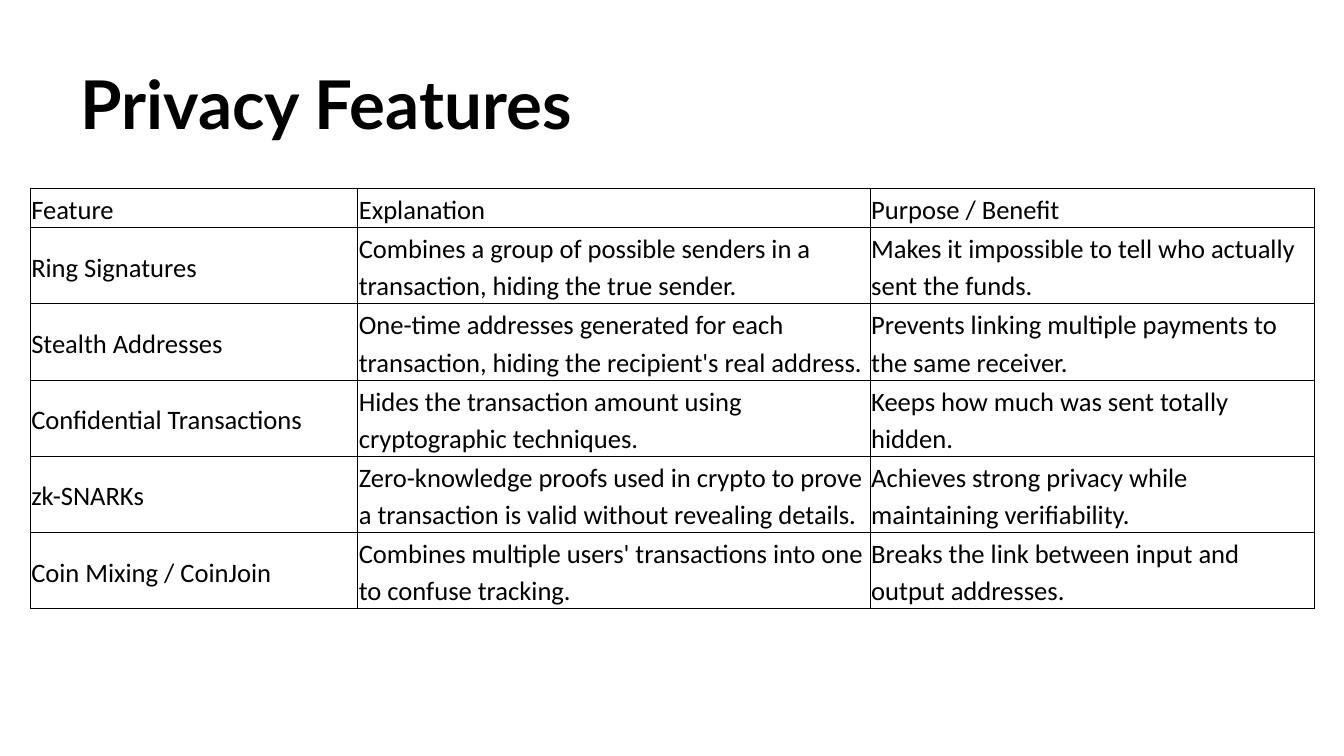
from pptx import Presentation
from pptx import util as u
from pptx.dml import color
from pptx.enum import text
from pptx.oxml import ns
from lxml import etree

Pt = u.Pt
INK = {"text": "000000", "line": "000000"}
WIDTHS = [234, 366, 317]
HEAD, ROW = 26, 52
ROWS = [
    ("Feature", "Explanation", "Purpose / Benefit"),
    ("Ring Signatures",
     "Combines a group of possible senders in a transaction, hiding the true sender.",
     "Makes it impossible to tell who actually sent the funds."),
    ("Stealth Addresses",
     "One-time addresses generated for each transaction, hiding the recipient's real address.",
     "Prevents linking multiple payments to the same receiver."),
    ("Confidential Transactions",
     "Hides the transaction amount using cryptographic techniques.",
     "Keeps how much was sent totally hidden."),
    ("zk-SNARKs",
     "Zero-knowledge proofs used in crypto to prove a transaction is valid without revealing details.",
     "Achieves strong privacy while maintaining verifiability."),
    ("Coin Mixing / CoinJoin",
     "Combines multiple users' transactions into one to confuse tracking.",
     "Breaks the link between input and output addresses."),
]


def style(para, face, size, bold=False):
    para.alignment = text.PP_ALIGN.LEFT
    for run in para.runs:
        run.font.name = face
        run.font.size = Pt(size)
        run.font.bold = bold
        run.font.color.rgb = color.RGBColor.from_string(INK["text"])


def inset(box, gap):
    box.margin_left = box.margin_right = Pt(gap)
    box.margin_top = box.margin_bottom = Pt(gap)


def border(cell):
    props = cell._tc.get_or_add_tcPr()
    for side in ("a:lnL", "a:lnR", "a:lnT", "a:lnB"):
        line = etree.SubElement(props, ns.qn(side), w=str(Pt(0.75)))
        fill = etree.SubElement(line, ns.qn("a:solidFill"))
        etree.SubElement(fill, ns.qn("a:srgbClr"), val=INK["line"])


def put_title(slide, words):
    title = slide.shapes.title
    title.left, title.top = Pt(48), Pt(21.6)
    title.width, title.height = Pt(864), Pt(90)
    frame = title.text_frame
    frame.text = words
    frame.word_wrap = True
    frame.auto_size = text.MSO_AUTO_SIZE.NONE
    frame.vertical_anchor = text.MSO_ANCHOR.BOTTOM
    inset(frame, 9.36)
    style(frame.paragraphs[0], "Lato", 48, True)


def put_cell(cell, words):
    cell.text = words
    cell.vertical_anchor = text.MSO_ANCHOR.MIDDLE
    inset(cell, 0.75)
    para = cell.text_frame.paragraphs[0]
    para.line_spacing = 1.15
    style(para, "Calibri", 19)
    border(cell)
    cell.fill.background()


def put_table(slide, rows):
    high = HEAD + ROW * (len(rows) - 1)
    table = slide.shapes.add_table(
        len(rows), len(WIDTHS), Pt(21.6), Pt(134.64),
        Pt(sum(WIDTHS)), Pt(high)).table
    table.first_row = table.horz_banding = False
    for col, wide in zip(table.columns, WIDTHS):
        col.width = Pt(wide)
    for r, row in enumerate(rows):
        table.rows[r].height = Pt(ROW if r else HEAD)
        for c, words in enumerate(row):
            put_cell(table.cell(r, c), words)


def main():
    deck = Presentation()
    deck.slide_width, deck.slide_height = Pt(960), Pt(540)
    slide = deck.slides.add_slide(deck.slide_layouts[5])
    put_table(slide, ROWS)
    put_title(slide, "Privacy Features")
    deck.save("out.pptx")


if __name__ == "__main__":
    main()
